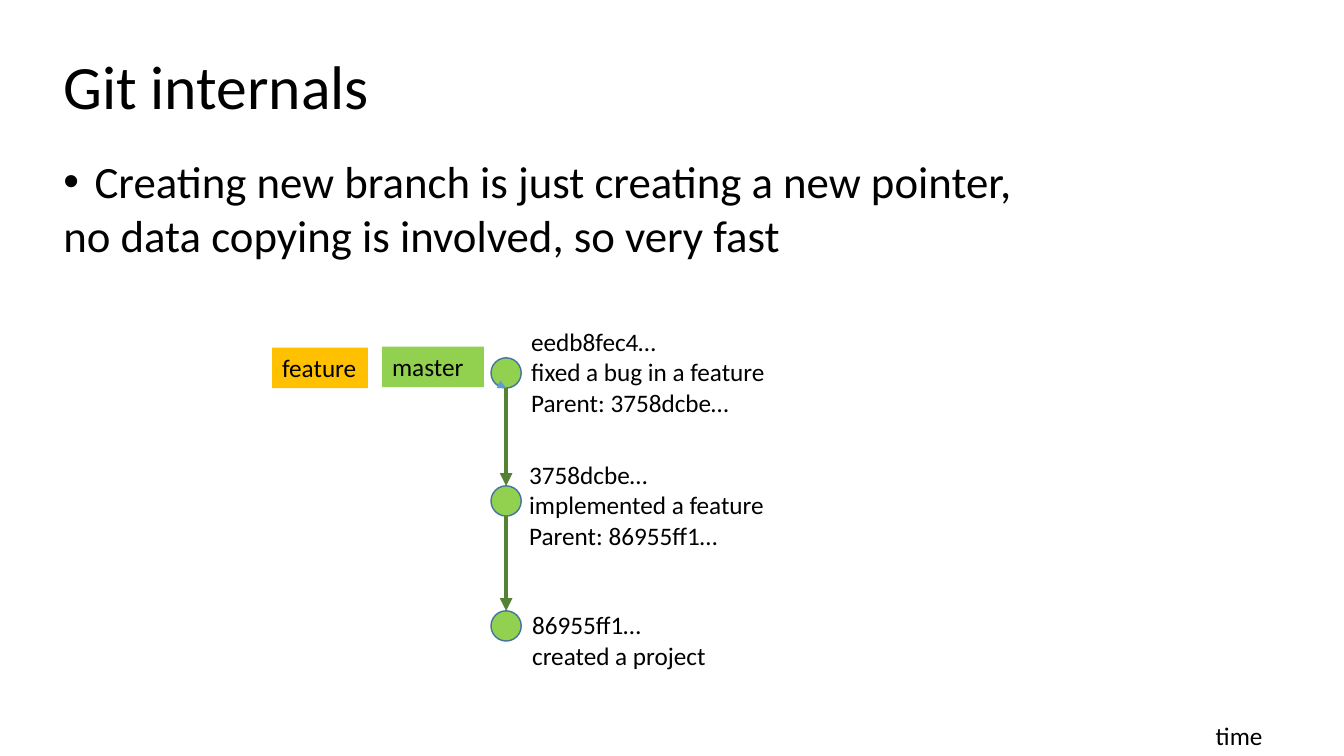
from pptx import Presentation
from pptx.dml.color import RGBColor
from pptx.enum.shapes import MSO_CONNECTOR as Line, MSO_SHAPE as Preset
from pptx.oxml.ns import qn
from pptx.util import Inches, Pt
from lxml.etree import SubElement

COLORS = {"text": "000000", "master": "92D050", "feature": "FFC000",
          "outline": "43739E", "arrow": "548235", "stub": "5B9BD5"}
FONT = "Calibri"
NODE = 0.3
BRANCHES = [("master", 3.79, 3.44, 1.01), ("feature", 2.7, 3.45, 0.95)]
COMMITS = [
    (3.55, (5.17, 3.19, 2.81, 1.01),
     ["eedb8fec4…", "fixed a bug in a feature", "Parent: 3758dcbe…"]),
    (4.82, (5.15, 4.51, 2.81, 1.01),
     ["3758dcbe…", "implemented a feature", "Parent: 86955ff1…"]),
    (6.06, (5.18, 6, 2.14, 0.71), ["86955ff1…", "created a project"]),
]


def color(name):
    return RGBColor.from_string(COLORS[name])


def add_text(page, box, lines, size=18, fill=None):
    shape = page.shapes.add_textbox(*map(Inches, box))
    if fill:
        shape.fill.solid()
        shape.fill.fore_color.rgb = color(fill)
    frame = shape.text_frame
    frame.word_wrap = True
    frame.margin_right = 0
    frame.text = "\n".join(lines)
    for para in frame.paragraphs:
        para.font.name = FONT
        para.font.size = Pt(size)
        para.font.color.rgb = color("text")
    return frame


def add_bullet(para, indent):
    properties = para._p.get_or_add_pPr()
    properties.set("marL", str(Inches(indent)))
    properties.set("indent", str(-Inches(indent)))
    bullet_font = properties.makeelement(qn("a:buFont"), {"typeface": "Arial"})
    bullet = properties.makeelement(qn("a:buChar"), {"char": "•"})
    properties.insert(0, bullet_font)
    properties.insert(1, bullet)


def add_arrow(page, start, end, name, width):
    arrow = page.shapes.add_connector(Line.STRAIGHT, *map(Inches, start + end))
    arrow.line.color.rgb = color(name)
    arrow.line.width = Pt(width)
    SubElement(arrow.line._get_or_add_ln(), qn("a:tailEnd"), type="triangle")
    SubElement(arrow._element.spPr, qn("a:effectLst"))


def add_node(page, left, top):
    node = page.shapes.add_shape(Preset.OVAL, *map(Inches, (left, top, NODE, NODE)))
    node.shadow.inherit = False
    node.fill.solid()
    node.fill.fore_color.rgb = color("master")
    node.line.color.rgb = color("outline")
    node.line.width = Pt(1)


def add_heading(page, left, top):
    add_text(page, (left, top, 3.27, 0.84), ["Git internals"], 44)
    body = add_text(page, (left, top + 1.05, 9.72, 1.18),
                    ["Creating new branch is just creating a new pointer,",
                     "no data copying is involved, so very fast"], 32)
    add_bullet(body.paragraphs[0], 0.31)


def add_history(page, left):
    center = left + NODE / 2
    for top, label_box, lines in COMMITS:
        add_node(page, left, top)
        add_text(page, label_box, lines)
    first_bottom = COMMITS[0][0] + NODE
    add_arrow(page, (left + 0.05, first_bottom - 0.05), (center, first_bottom), "stub", 0.5)
    for (top, *_), (next_top, *_) in zip(COMMITS, COMMITS[1:]):
        add_arrow(page, (center, top + NODE), (center, next_top), "arrow", 3)


def add_branches(page):
    for name, left, top, width in BRANCHES:
        add_text(page, (left, top, width, 0.4), [name], fill=name)


def main():
    deck = Presentation()
    deck.slide_width, deck.slide_height = Inches(13.33), Inches(7.5)
    page = deck.slides.add_slide(deck.slide_layouts[6])
    add_heading(page, 0.53, 0.43)
    add_history(page, 4.87)
    add_branches(page)
    add_text(page, (11.96, 7.1, 0.67, 0.4), ["time"])
    deck.save("out.pptx")


if __name__ == "__main__":
    main()
